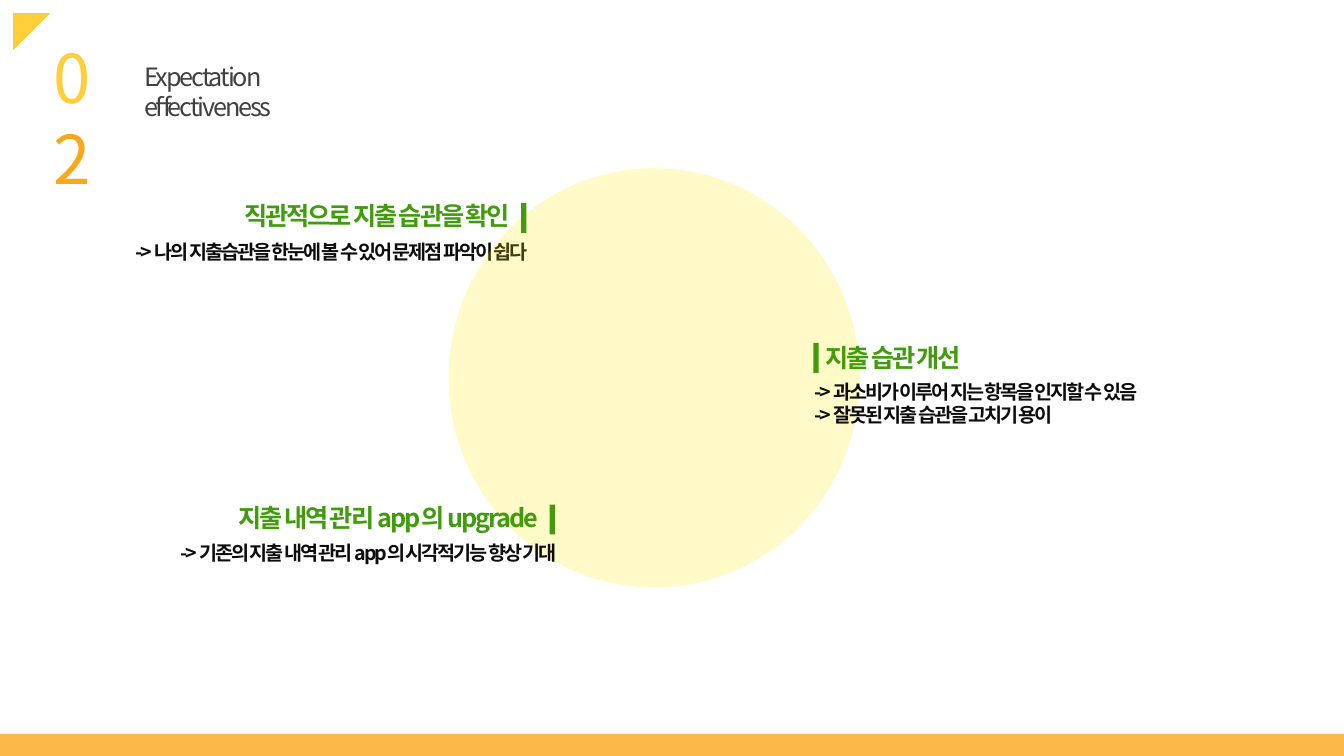
from lxml.etree import SubElement
from pptx import Presentation
from pptx.dml.color import RGBColor
from pptx.enum.shapes import MSO_SHAPE
from pptx.enum.text import MSO_AUTO_SIZE, PP_ALIGN
from pptx.oxml import parse_xml
from pptx.oxml.ns import nsdecls, qn
from pptx.util import Pt

WHITE = RGBColor(0xFF, 0xFF, 0xFF)
YELLOW = RGBColor(0xFF, 0xCE, 0x38)
ORANGE = RGBColor(0xFA, 0xA8, 0x18)
LEMON = RGBColor(0xFF, 0xEA, 0x00)
GREEN = RGBColor(0x40, 0x9B, 0x0D)
BLACK = RGBColor(0x0D, 0x0D, 0x0D)
GRAY = RGBColor(0x40, 0x40, 0x40)

NUMBER = {"size": Pt(48)}
TITLE = {"size": Pt(18)}
HEADING = {"size": Pt(18), "bold": True}
BODY = {"size": Pt(14), "bold": True}


class SlideBuilder:
    font_name = "Noto Sans CJK KR"

    def __init__(self, slide):
        self.slide = slide

    def shape(self, kind, box, color, opacity=100):
        shape = self.slide.shapes.add_shape(kind, *map(Pt, box))
        shape.shadow.inherit = False
        shape.line.fill.background()
        shape.fill.solid()
        shape.fill.fore_color.rgb = color
        if opacity < 100:
            color_element = shape.fill._xPr.find(qn("a:solidFill"))[0]
            SubElement(color_element, qn("a:alpha"), val=str(opacity * 1000))
        return shape

    def run(self, paragraph, text, style, color, spacing):
        run = paragraph.add_run()
        run.text = text
        for name, value in style.items():
            setattr(run.font, name, value)
        run.font.name = self.font_name
        run.font.color.rgb = color
        properties = run.font._element
        properties.set("spc", str(int(spacing * 100)))
        SubElement(properties, qn("a:ea"), typeface=self.font_name)
        if run.font.bold:
            properties.insert(0, parse_xml(
                f'<a:ln w="9525" {nsdecls("a")}><a:solidFill><a:srgbClr val="{WHITE}">'
                '<a:alpha val="30000"/></a:srgbClr></a:solidFill></a:ln>'))

    def text(self, box, paragraphs, style, align=PP_ALIGN.LEFT, spacing=-1.5):
        frame = self.slide.shapes.add_textbox(*map(Pt, box)).text_frame
        frame.word_wrap = True
        frame.auto_size = MSO_AUTO_SIZE.SHAPE_TO_FIT_TEXT
        for index, runs in enumerate(paragraphs):
            paragraph = frame.add_paragraph() if index else frame.paragraphs[0]
            paragraph.alignment = align
            for text, color in runs:
                self.run(paragraph, text, style, color, spacing)

    def body(self, box, lines, align=PP_ALIGN.LEFT):
        self.text(box, [[(line, BLACK)] for line in lines], BODY, align)

    def heading(self, box, text, bar_left, bar_top, align=PP_ALIGN.LEFT):
        self.text(box, [[(text, GREEN)]], HEADING, align)
        self.shape(MSO_SHAPE.RECTANGLE, (bar_left, bar_top, 3.8, 21.4), GREEN)


def main():
    presentation = Presentation()
    presentation.slide_width = Pt(960)
    presentation.slide_height = Pt(540)
    builder = SlideBuilder(presentation.slides.add_slide(presentation.slide_layouts[6]))

    builder.text((31, 22.3, 64.8, 65.5), [[("0", YELLOW), ("2", ORANGE)]], NUMBER, spacing=-3)
    builder.text((95.8, 40.3, 182.9, 28.8), [[("Expectation effectiveness", GRAY)]], TITLE)
    builder.shape(MSO_SHAPE.RECTANGLE, (0, 524.2, 960, 15.8), ORANGE, 79)
    corner = builder.shape(MSO_SHAPE.RIGHT_TRIANGLE, (9.4, 9.4, 26.6, 26.6), YELLOW)
    corner._element.spPr.xfrm.set("flipV", "1")

    builder.body((46.8, 167.8, 337, 24.5),
                 ["-> 나의 지출습관을 한눈에 볼 수 있어 문제점 파악이 쉽다"], PP_ALIGN.RIGHT)
    builder.shape(MSO_SHAPE.OVAL, (320.4, 120.2, 293.8, 299.5), LEMON, 22)
    builder.heading((143.3, 139.7, 228.2, 28.8), "직관적으로 지출 습관을 확인",
                    372.2, 144.9, PP_ALIGN.RIGHT)

    builder.body((574.6, 267.8, 293.8, 41),
                 ["-> 과소비가 이루어 지는 항목을 인지할 수 있음",
                  "-> 잘못된 지출 습관을 고치기 용이"])
    builder.heading((582.5, 241.2, 286.6, 28.8), "지출 습관 개선", 581, 244.9)

    builder.body((84.2, 383, 320.4, 24.5),
                 ["-> 기존의 지출 내역 관리 app의 시각적기능 향상 기대"], PP_ALIGN.RIGHT)
    builder.heading((137.5, 355, 254.2, 28.8), "지출 내역 관리 app의 upgrade",
                    392.6, 360.4, PP_ALIGN.RIGHT)

    presentation.save("out.pptx")


if __name__ == "__main__":
    main()
